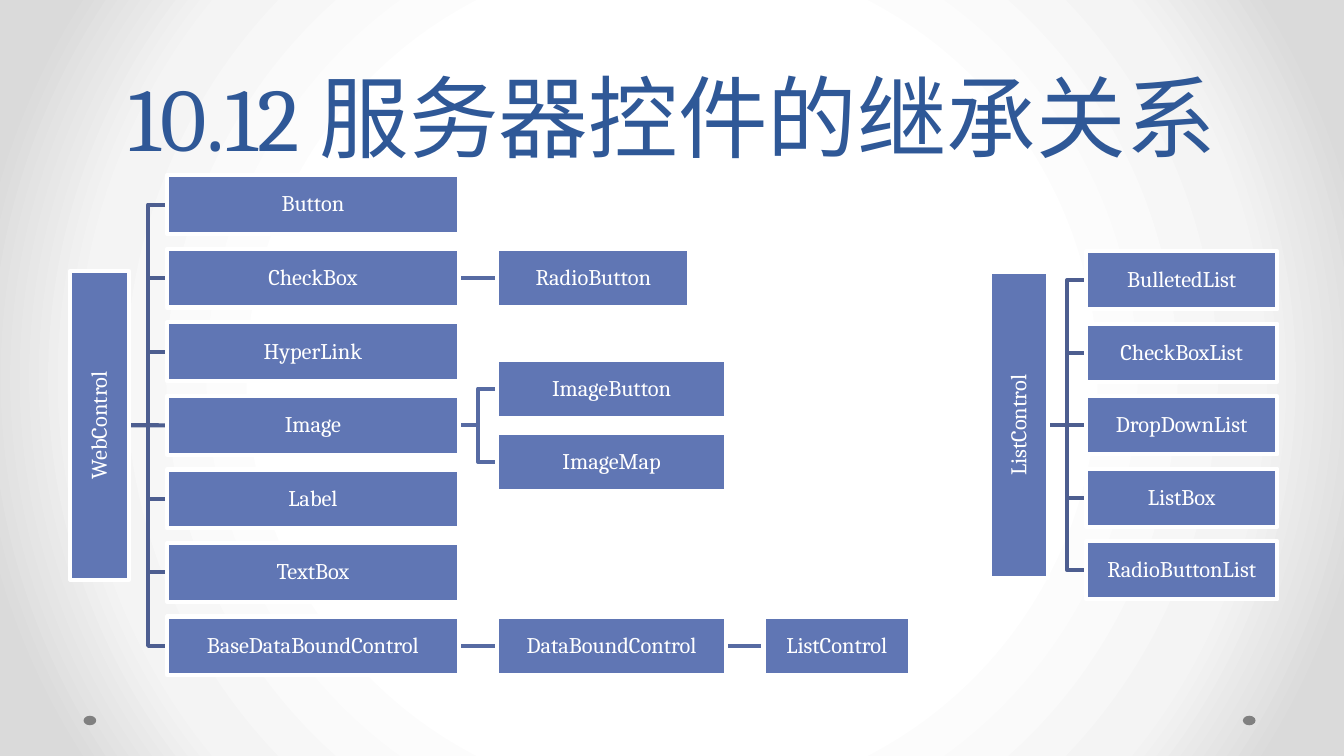
from lxml import etree
from pptx import Presentation
from pptx import util as u
from pptx.dml.color import RGBColor
from pptx.enum import shapes, text
from pptx.oxml.ns import qn
from pptx.util import Cm

WHITE = RGBColor(0xFF, 0xFF, 0xFF)
TITLE_BLUE = RGBColor(0x2F, 0x58, 0x97)
BOX_BLUE = RGBColor(0x60, 0x76, 0xB4)
TRUNK_LINE = RGBColor(0x4D, 0x5E, 0x90)
BRANCH_LINE = RGBColor(0x57, 0x6B, 0xA3)
DOT_GRAY = RGBColor(0x80, 0x80, 0x80)
BG_STOPS = ((50, WHITE), (76, RGBColor(0xF4, 0xF4, 0xF4)),
            (92, RGBColor(0xDA, 0xDA, 0xDA)))

FONT = "Cambria"
MIDDLE = 8.04  # cm, centre line of both trees
CONTROLS = ("Button", "CheckBox", "HyperLink", "Image", "Label", "TextBox",
            "BaseDataBoundControl")
LISTS = ("BulletedList", "CheckBoxList", "DropDownList", "ListBox",
         "RadioButtonList")


def set_background(s):
    """Radial gradient, white in the centre and grey at the edges."""
    s.background.fill.solid()
    pr = s.background._cSld.bg.bgPr
    pr.remove(pr.find(qn("a:solidFill")))
    grad = etree.Element(qn("a:gradFill"), rotWithShape="1")
    stops = etree.SubElement(grad, qn("a:gsLst"))
    for pos, color in BG_STOPS:
        gs = etree.SubElement(stops, qn("a:gs"), pos=str(pos * 1000))
        etree.SubElement(gs, qn("a:srgbClr"), val=str(color))
    circle = etree.SubElement(grad, qn("a:path"), path="circle")
    etree.SubElement(circle, qn("a:fillToRect"),
                     {side: "50000" for side in "ltrb"})
    pr.insert(0, grad)


def add_run(p, words, size, color):
    r = p.add_run()
    r.text = words
    r.font.name = FONT
    r.font.size = u.Pt(size)
    r.font.color.rgb = color


def set_title(s, words):
    sp = s.shapes.title
    sp.left, sp.top, sp.width, sp.height = Cm(1.27), Cm(0), Cm(22.86), Cm(3.33)
    tf = sp.text_frame
    tf.auto_size = text.MSO_AUTO_SIZE.NONE
    tf.vertical_anchor = text.MSO_ANCHOR.BOTTOM
    p = tf.paragraphs[0]
    p.alignment = text.PP_ALIGN.CENTER
    p.line_spacing = u.Pt(58)
    add_run(p, words, 48, TITLE_BLUE)


def add_dot(s, x):
    sp = s.shapes.add_shape(shapes.MSO_SHAPE.OVAL, Cm(x), Cm(13.53),
                            Cm(0.24), Cm(0.18))
    sp.shadow.inherit = False
    sp.fill.solid()
    sp.fill.fore_color.rgb = DOT_GRAY
    sp.line.fill.background()


def add_box(s, label, x, mid, w, h=1.11, upright=False):
    """Class box centred vertically on mid; upright text reads upwards."""
    sp = s.shapes.add_shape(shapes.MSO_SHAPE.RECTANGLE, Cm(x), Cm(mid - h / 2),
                            Cm(w), Cm(h))
    sp.shadow.inherit = False
    sp.fill.solid()
    sp.fill.fore_color.rgb = BOX_BLUE
    sp.line.color.rgb = WHITE
    sp.line.width = u.Pt(2.25)
    tf = sp.text_frame
    tf.word_wrap = True
    tf.vertical_anchor = text.MSO_ANCHOR.MIDDLE
    tf.margin_left = tf.margin_right = Cm(0.02)
    tf.margin_top = tf.margin_bottom = Cm(0.02)
    if upright:
        tf._txBody.bodyPr.set("vert", "vert270")
    p = tf.paragraphs[0]
    p.alignment = text.PP_ALIGN.CENTER
    p.line_spacing = 0.9
    add_run(p, label, 12, WHITE)
    return sp


def link(s, parent, child, color):
    """Join parent's right side to child's left side, behind the boxes."""
    level = abs(parent.top + parent.height / 2
                - child.top - child.height / 2) < Cm(0.02)
    kind = shapes.MSO_CONNECTOR.STRAIGHT if level else shapes.MSO_CONNECTOR.ELBOW
    c = s.shapes.add_connector(kind, 0, 0, 0, 0)
    c.begin_connect(parent, 3)
    c.end_connect(child, 1)
    c.line.color.rgb = color
    c.line.width = u.Pt(2.25)
    etree.SubElement(c._element.spPr, qn("a:effectLst"))
    s.shapes._spTree.insert(2, c._element)


def add_tree(s, root, labels, x, w, pitch, h):
    """Column of child boxes, spread evenly around the root's middle."""
    boxes = {}
    for i, label in enumerate(labels):
        mid = MIDDLE + pitch * (i - len(labels) // 2)
        boxes[label] = add_box(s, label, x, mid, w, h)
        link(s, root, boxes[label], TRUNK_LINE)
    return boxes


def add_child(s, parent, label, x, w, shift=0.0):
    mid = (parent.top + parent.height / 2) / Cm(1) + shift
    sp = add_box(s, label, x, mid, w)
    link(s, parent, sp, BRANCH_LINE)
    return sp


def main():
    prs = Presentation()
    prs.slide_width, prs.slide_height = Cm(25.4), Cm(14.29)
    s = prs.slides.add_slide(prs.slide_layouts[5])
    set_background(s)
    set_title(s, "10.12 服务器控件的继承关系")
    for x in (1.58, 23.49):
        add_dot(s, x)

    web = add_box(s, "WebControl", 1.33, MIDDLE, 1.11, 5.84, upright=True)
    controls = add_tree(s, web, CONTROLS, 3.16, 5.51, 1.39, 1.11)
    add_child(s, controls["CheckBox"], "RadioButton", 9.4, 3.63)
    add_child(s, controls["Image"], "ImageButton", 9.4, 4.32, -0.69)
    add_child(s, controls["Image"], "ImageMap", 9.4, 4.32, 0.69)
    bound = add_child(s, controls["BaseDataBoundControl"], "DataBoundControl",
                      9.4, 4.32)
    add_child(s, bound, "ListControl", 14.43, 2.77)

    lists = add_box(s, "ListControl", 18.71, MIDDLE, 1.1, 5.79, upright=True)
    add_tree(s, lists, LISTS, 20.53, 3.61, 1.37, 1.1)
    prs.save("out.pptx")


if __name__ == "__main__":
    main()
